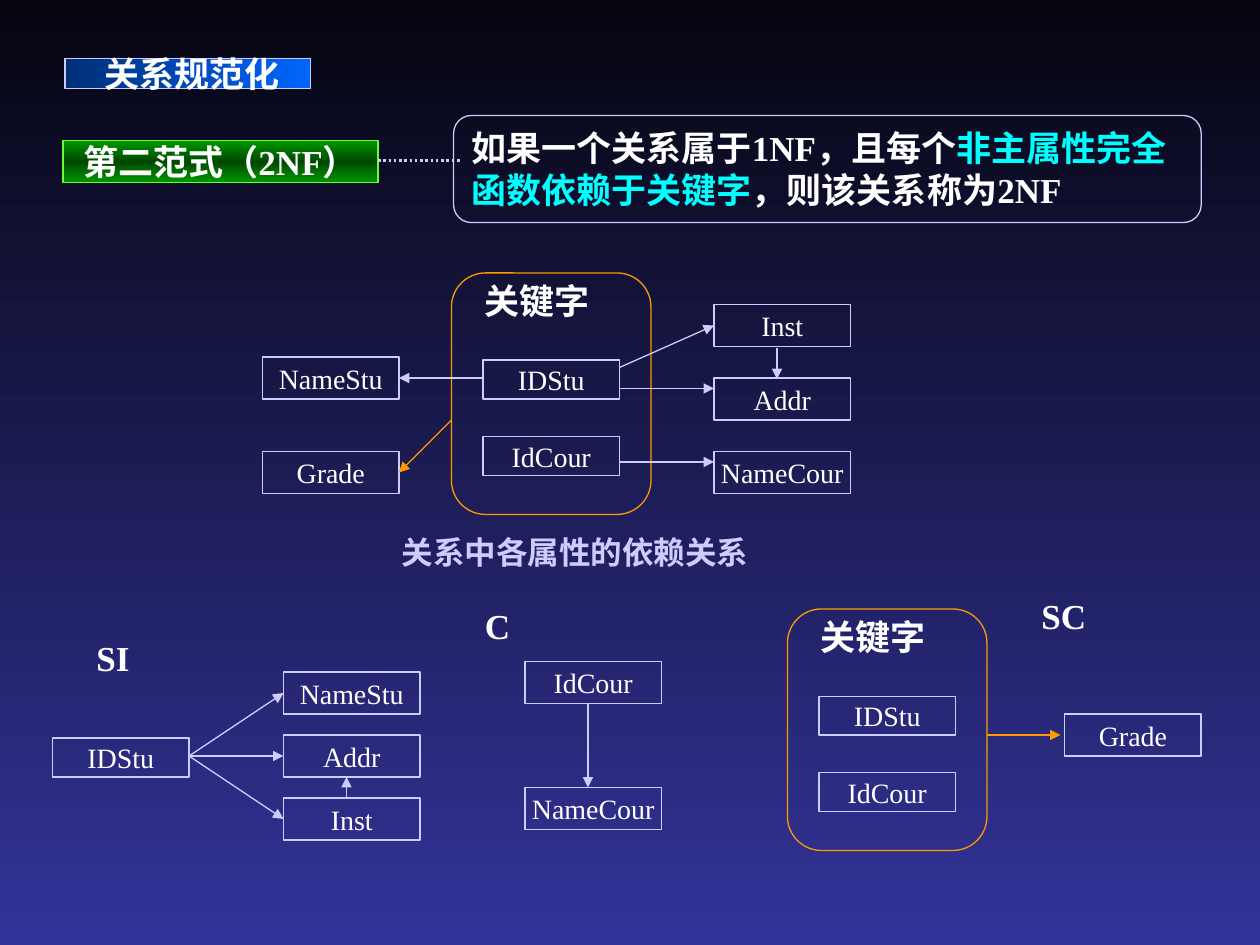
import copy

import pptx
import pptx.util
import pptx.dml.color
import pptx.enum.dml
import pptx.enum.shapes
import pptx.enum.text
import pptx.oxml.ns

SHAPE = pptx.enum.shapes.MSO_SHAPE
ALIGN = pptx.enum.text.PP_ALIGN
ANCHOR = pptx.enum.text.MSO_ANCHOR
FONT = "Times New Roman"
WHITE, LILAC, ORANGE, CYAN, GREEN = "FFFFFF", "CCCCFF", "FF9900", "00FFFF", "66FF33"

# All places are (column, row, columns, rows) on a grid of 120 by 90 cells.
COLUMNS, ROWS = 120, 90
NODE_WIDTH, NODE_HEIGHT, KEY_HEIGHT = 13, 4, 3.7

TITLE = [[("关系规范化", WHITE)]]
NORMAL_FORM = [[("第二范式（2NF）", WHITE)]]
DEFINITION = [
    [("如果一个关系属于1NF，且每个", WHITE), ("非主属性完全", CYAN)],
    [("函数依赖于关键字", CYAN), ("，则该关系称为2NF", WHITE)],
]

KEY_FRAMES = [(43, 26), (75, 58)]
KEY_ATTRIBUTES = [("IDStu", 8.3), ("IdCour", 15.6)]

ATTRIBUTES = [
    # all dependencies
    ("NameStu", 25, 34, NODE_HEIGHT), ("Grade", 25, 43, NODE_HEIGHT),
    ("Inst", 68, 29, NODE_HEIGHT), ("Addr", 68, 36, NODE_HEIGHT),
    ("NameCour", 68, 43, NODE_HEIGHT),
    # SI
    ("IDStu", 5, 70.3, KEY_HEIGHT), ("NameStu", 27, 64, NODE_HEIGHT),
    ("Addr", 27, 70, NODE_HEIGHT), ("Inst", 27, 76, NODE_HEIGHT),
    # C
    ("IdCour", 50, 63, NODE_HEIGHT), ("NameCour", 50, 75, NODE_HEIGHT),
    # SC
    ("Grade", 101.4, 68, NODE_HEIGHT),
]

DEPENDENCIES = [
    # all dependencies
    ((46, 36), (38, 36), LILAC), ((43, 40), (38, 45), ORANGE),
    ((59, 37), (68, 37), LILAC), ((59, 35), (68, 31), LILAC),
    ((59, 44), (68, 44), LILAC), ((74, 33.1), (74, 36.1), LILAC),
    # SI
    ((18, 72), (27, 66), LILAC), ((18, 72), (27, 72), LILAC),
    ((18, 72), (27, 78), LILAC), ((33, 76), (33, 74), LILAC),
    # C
    ((56, 67), (56, 75), LILAC),
    # SC
    ((94, 70), (101, 70), ORANGE),
]

LABELS = [
    ("关系中各属性的依赖关系", (37.1, 50.2, 35.4, 4.8), 18, LILAC),
    ("SI", (8, 60, 5.5, 5.3), 20, WHITE),
    ("C", (45, 57, 4.8, 5.3), 20, WHITE),
    ("SC", (98, 56, 6.6, 5.3), 20, WHITE),
]

deck = pptx.Presentation()
deck.slide_width = pptx.util.Inches(10)
deck.slide_height = pptx.util.Inches(7.5)
slide = deck.slides.add_slide(deck.slide_layouts[5])


def across(columns):
    return round(deck.slide_width * columns / COLUMNS)


def down(rows):
    return round(deck.slide_height * rows / ROWS)


def place(column, row, columns, rows):
    return across(column), down(row), across(columns), down(rows)


def color(hex_value):
    return pptx.dml.color.RGBColor.from_string(hex_value)


def fill_gradient(fill, owner, hex_values, angle):
    """Spread the colours evenly; owner is the XML element that holds the fill."""
    fill.gradient()
    fill.gradient_angle = angle
    stop_list = next(owner.iter(pptx.oxml.ns.qn("a:gsLst")))
    while len(stop_list) < len(hex_values):
        stop_list.append(copy.deepcopy(stop_list[0]))
    for index, (stop, hex_value) in enumerate(zip(fill.gradient_stops, hex_values)):
        stop.color.rgb = color(hex_value)
        stop.position = index / (len(hex_values) - 1)


def outline(part, hex_value, width=0.75):
    part.line.color.rgb = color(hex_value)
    part.line.width = pptx.util.Pt(width)


def write(part, paragraphs, size, bold=True, align=ALIGN.LEFT, anchor=ANCHOR.TOP, wrap=False):
    frame = part.text_frame
    frame.word_wrap = wrap
    frame.auto_size = pptx.enum.text.MSO_AUTO_SIZE.NONE
    frame.vertical_anchor = anchor
    for index, runs in enumerate(paragraphs):
        paragraph = frame.add_paragraph() if index else frame.paragraphs[0]
        paragraph.alignment = align
        for text, hex_value in runs:
            run = paragraph.add_run()
            run.text = text
            run.font.name = FONT
            run.font.size = pptx.util.Pt(size)
            run.font.bold = bold
            run.font.color.rgb = color(hex_value)


def add_box(kind, box, line_color):
    part = slide.shapes.add_shape(kind, *place(*box))
    part.shadow.inherit = False
    part.fill.background()
    outline(part, line_color)
    return part


def add_attribute(name, column, row, height):
    node = add_box(SHAPE.RECTANGLE, (column, row, NODE_WIDTH, height), LILAC)
    write(node, [[(name, WHITE)]], 16, False, ALIGN.CENTER, ANCHOR.MIDDLE)


def add_label(text, box, size, hex_value):
    write(slide.shapes.add_textbox(*place(*box)), [[(text, hex_value)]], size)


def add_line(start, end, hex_value, width=0.75):
    link = slide.shapes.add_connector(
        pptx.enum.shapes.MSO_CONNECTOR.STRAIGHT,
        across(start[0]), down(start[1]), across(end[0]), down(end[1]))
    outline(link, hex_value, width)
    link._element.spPr.append(pptx.oxml.parse_xml(
        f"<a:effectLst {pptx.oxml.ns.nsdecls('a')}/>"))
    return link


def add_arrow(start, end, hex_value):
    add_line(start, end, hex_value).line._get_or_add_ln().append(pptx.oxml.parse_xml(
        f"<a:tailEnd {pptx.oxml.ns.nsdecls('a')} type='triangle'/>"))


fill_gradient(slide.background.fill, slide._element, ["050510", "333399"], 270)

title = slide.shapes.title
title.left, title.top, title.width, title.height = place(6.2, 5.55, 23.4, 2.9)
fill_gradient(title.fill, title._element, ["002F76", "0066FF"], 0)
outline(title, LILAC)
write(title, TITLE, 20, align=ALIGN.CENTER, anchor=ANCHOR.MIDDLE, wrap=True)
title.text_frame.margin_left = pptx.util.Inches(0.16)

normal_form = add_box(SHAPE.RECTANGLE, (6, 13.4, 30, 4), GREEN)
fill_gradient(normal_form.fill, normal_form._element, ["009900", "004700", "009900"], 270)
write(normal_form, NORMAL_FORM, 20, align=ALIGN.CENTER, anchor=ANCHOR.MIDDLE, wrap=True)
normal_form.text_frame.margin_left = normal_form.text_frame.margin_right = 0
normal_form.text_frame.margin_top = normal_form.text_frame.margin_bottom = 0

definition = add_box(SHAPE.FLOWCHART_ALTERNATE_PROCESS, (43.2, 11, 71.2, 10.2), LILAC)
write(definition, DEFINITION, 20)
dotted_link = add_line((36, 15.3), (44, 15.3), LILAC, 1.5)
dotted_link.line.dash_style = pptx.enum.dml.MSO_LINE.ROUND_DOT

for left, top in KEY_FRAMES:
    key_frame = add_box(SHAPE.ROUNDED_RECTANGLE, (left, top, 19, 23), ORANGE)
    key_frame.adjustments[0] = 0.17
    add_label("关键字", (left + 2, top, 12.4, 5.3), 20, WHITE)
    for name, offset in KEY_ATTRIBUTES:
        add_attribute(name, left + 3, top + offset, KEY_HEIGHT)

for attribute in ATTRIBUTES:
    add_attribute(*attribute)
for dependency in DEPENDENCIES:
    add_arrow(*dependency)
for label in LABELS:
    add_label(*label)

deck.save("out.pptx")
